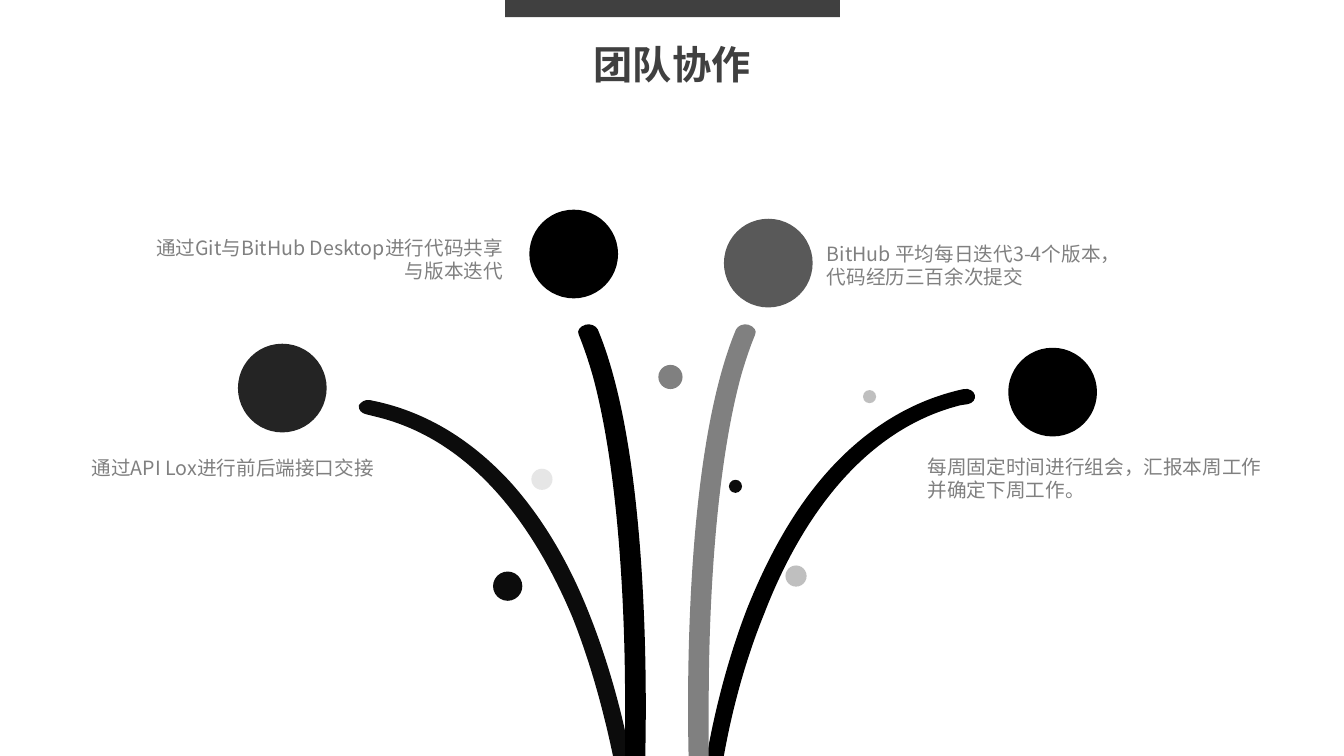
from lxml import etree
from pptx import Presentation
from pptx.dml.color import RGBColor
from pptx.enum.shapes import MSO_SHAPE
from pptx.enum.text import MSO_ANCHOR, MSO_AUTO_SIZE, PP_ALIGN
from pptx.oxml.ns import qn
from pptx.util import Inches, Pt

RECT, OVAL = MSO_SHAPE.RECTANGLE, MSO_SHAPE.OVAL
LEFT, CENTER, RIGHT = PP_ALIGN.LEFT, PP_ALIGN.CENTER, PP_ALIGN.RIGHT
TOP = MSO_ANCHOR.TOP
FIT = MSO_AUTO_SIZE.SHAPE_TO_FIT_TEXT
FONT = "Noto Sans CJK SC"

BLACK = RGBColor(0x00, 0x00, 0x00)
INK = RGBColor(0x0C, 0x0C, 0x0C)
COAL = RGBColor(0x24, 0x24, 0x24)
DARK = RGBColor(0x40, 0x40, 0x40)
SLATE = RGBColor(0x59, 0x59, 0x59)
GRAY = RGBColor(0x80, 0x80, 0x80)
SILVER = RGBColor(0xBF, 0xBF, 0xBF)
PALE = RGBColor(0xE6, 0xE6, 0xE6)

TITLE = ("团队协作", (5.72, 0.35, 1.89, 0.57))
BANNER = (5.01, 0, 3.32, 0.17)
NOTES = [  # text, box, alignment
    ("通过Git与BitHub Desktop进行代码共享与版本迭代", (1.49, 2.29, 3.55, 0.57), RIGHT),
    ("BitHub 平均每日迭代3-4个版本，\n代码经历三百余次提交", (8.15, 2.35, 3.21, 0.57), LEFT),
    ("通过API Lox进行前后端接口交接", (0.21, 4.47, 3.55, 0.33), RIGHT),
    ("每周固定时间进行组会，汇报本周工作并确定下周工作。", (9.15, 4.46, 3.55, 0.57), LEFT),
]
CIRCLES = [  # left, top, diameter, colour
    (5.27, 4.65, 0.21, PALE), (4.89, 5.67, 0.29, INK), (7.23, 4.76, 0.13, INK),
    (6.53, 3.62, 0.24, GRAY), (7.79, 5.61, 0.21, SILVER), (8.56, 3.87, 0.13, SILVER),
    (10, 3.45, 0.88, BLACK), (7.18, 2.17, 0.88, SLATE),
    (5.25, 2.08, 0.88, BLACK), (2.36, 3.41, 0.88, COAL),
]

# Stem outlines: a start point, then lines (x, y) or cubic curves (two controls and an end)
OUTER_LEFT = [
    (5.84, 6.08), (5.63, 5.55, 5.36, 5.11, 5.05, 4.77), (4.65, 4.34, 4.19, 4.07, 3.67, 3.97),
    (3.62, 3.96, 3.58, 3.99, 3.56, 4.02), (3.55, 4.07, 3.59, 4.10, 3.63, 4.11),
    (3.66, 4.12, 3.68, 4.12, 3.71, 4.13), (4.75, 4.37, 5.35, 5.34, 5.68, 6.13),
    (5.89, 6.66, 6.01, 7.17, 6.08, 7.5), (6.25, 7.5), (6.19, 7.17, 6.06, 6.63, 5.84, 6.08),
]
OUTER_RIGHT = [
    (9.67, 3.92), (9.66, 3.88, 9.61, 3.85, 9.56, 3.86), (9.05, 3.97, 8.59, 4.25, 8.20, 4.69),
    (7.89, 5.04, 7.63, 5.49, 7.41, 6.04), (7.19, 6.61, 7.07, 7.16, 7.01, 7.5), (7.18, 7.5),
    (7.24, 7.16, 7.36, 6.63, 7.58, 6.09), (7.89, 5.28, 8.49, 4.28, 9.53, 4.02),
    (9.55, 4.02, 9.58, 4.01, 9.60, 4.01), (9.65, 4.00, 9.68, 3.96, 9.67, 3.92),
]
INNER_LEFT = [
    (5.93, 3.27), (5.91, 3.23, 5.86, 3.21, 5.81, 3.22), (5.75, 3.24, 5.72, 3.28, 5.74, 3.32),
    (5.79, 3.44, 5.84, 3.59, 5.88, 3.73), (6.14, 4.69, 6.20, 6.07, 6.20, 6.96),
    (6.20, 7.17, 6.20, 7.36, 6.20, 7.5), (6.40, 7.5), (6.42, 6.63, 6.41, 4.42, 5.93, 3.27),
]
MIRROR_SUM = 13.23  # x of a point plus x of its mirrored twin
INNER_RIGHT = [tuple(MIRROR_SUM - v if i % 2 == 0 else v for i, v in enumerate(step))
               for step in INNER_LEFT]
STEMS = [(OUTER_LEFT, INK), (OUTER_RIGHT, BLACK), (INNER_LEFT, BLACK), (INNER_RIGHT, GRAY)]


def paint(sp, color):
    sp.fill.solid()
    sp.fill.fore_color.rgb = color
    sp.line.fill.background()
    sp.shadow.inherit = False


def add_stem(shapes, outline, color):
    """Join the end points with lines, then bend the curved steps into cubic curves."""
    ends = [(Inches(step[-2]), Inches(step[-1])) for step in outline]
    builder = shapes.build_freeform(*ends[0])
    builder.add_line_segments(ends[1:], close=True)
    sp = builder.convert_to_shape()
    lines = list(sp._element.iter(qn("a:lnTo")))
    for line, step in zip(lines, outline[1:]):
        if len(step) == 6:
            curve = etree.Element(qn("a:cubicBezTo"))
            for x, y in zip(step[::2], step[1::2]):
                etree.SubElement(curve, qn("a:pt"), x=str(Inches(x) - sp.left),
                                 y=str(Inches(y) - sp.top))
            line.getparent().replace(line, curve)
    paint(sp, color)


def add_solid(shapes, kind, box, color):
    paint(shapes.add_shape(kind, *map(Inches, box)), color)


def write(sp, text, size, color, align, bold=False):
    tf = sp.text_frame
    tf.text = text
    tf.word_wrap = True
    tf.auto_size = FIT
    tf.vertical_anchor = TOP
    tf.margin_left = tf.margin_right = tf.margin_top = tf.margin_bottom = Inches(0.05)
    for p in tf.paragraphs:
        p.alignment = align
        for r in p.runs:
            r.font.name = FONT
            r.font.size = Pt(size)
            r.font.bold = bold
            r.font.color.rgb = color
            etree.SubElement(r.font._element, qn("a:ea"), typeface=FONT)


def main():
    prs = Presentation()
    prs.slide_width, prs.slide_height = Inches(13.33), Inches(7.5)
    s = prs.slides.add_slide(prs.slide_layouts[5])

    for outline, color in STEMS:
        add_stem(s.shapes, outline, color)
    for left, top, size, color in CIRCLES:
        add_solid(s.shapes, OVAL, (left, top, size, size), color)
    add_solid(s.shapes, RECT, BANNER, DARK)

    text, box = TITLE
    title = s.shapes.title
    title.left, title.top, title.width, title.height = map(Inches, box)
    write(title, text, 28, DARK, CENTER, bold=True)
    for text, box, align in NOTES:
        write(s.shapes.add_textbox(*map(Inches, box)), text, 14, GRAY, align)

    prs.save("out.pptx")


if __name__ == "__main__":
    main()
